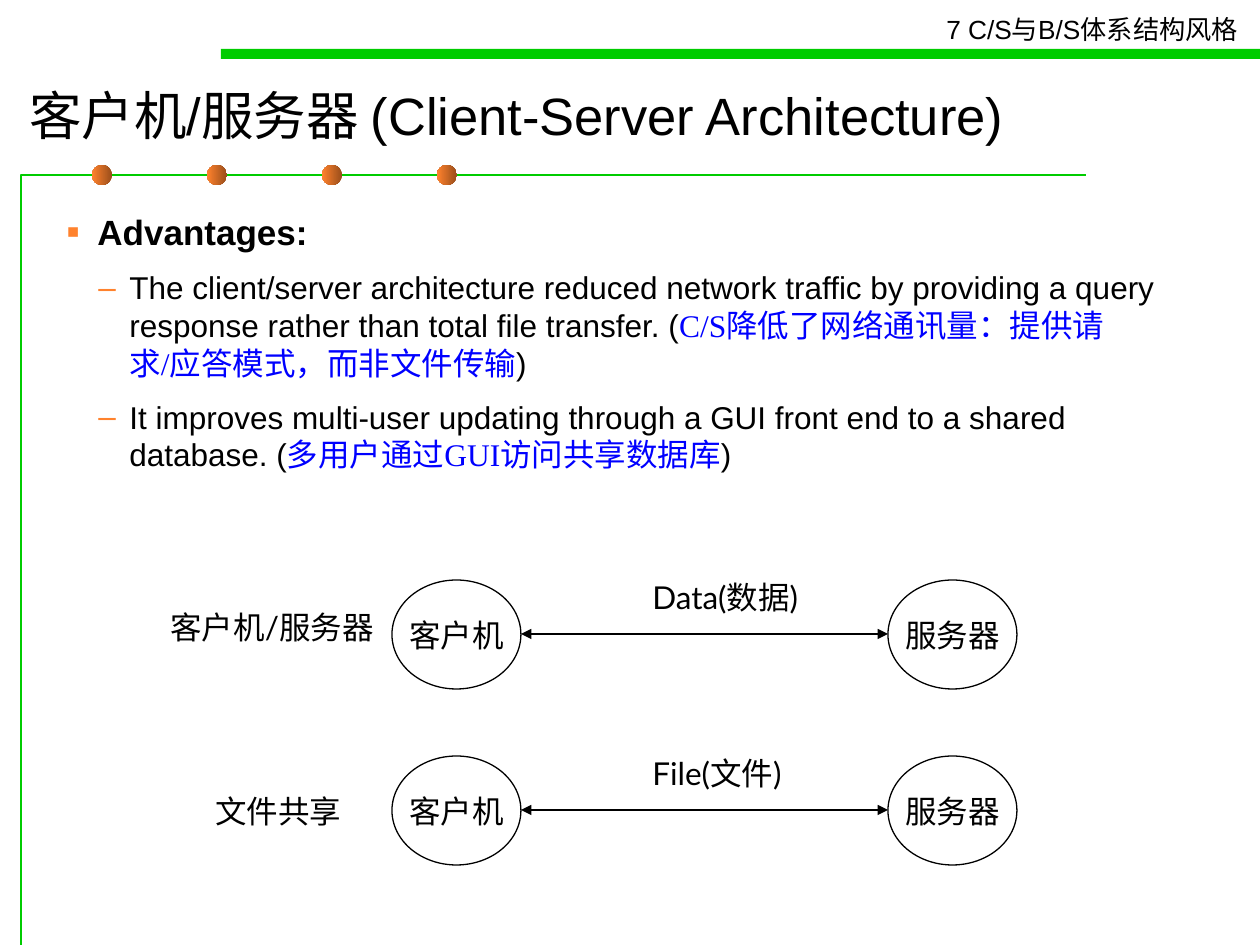
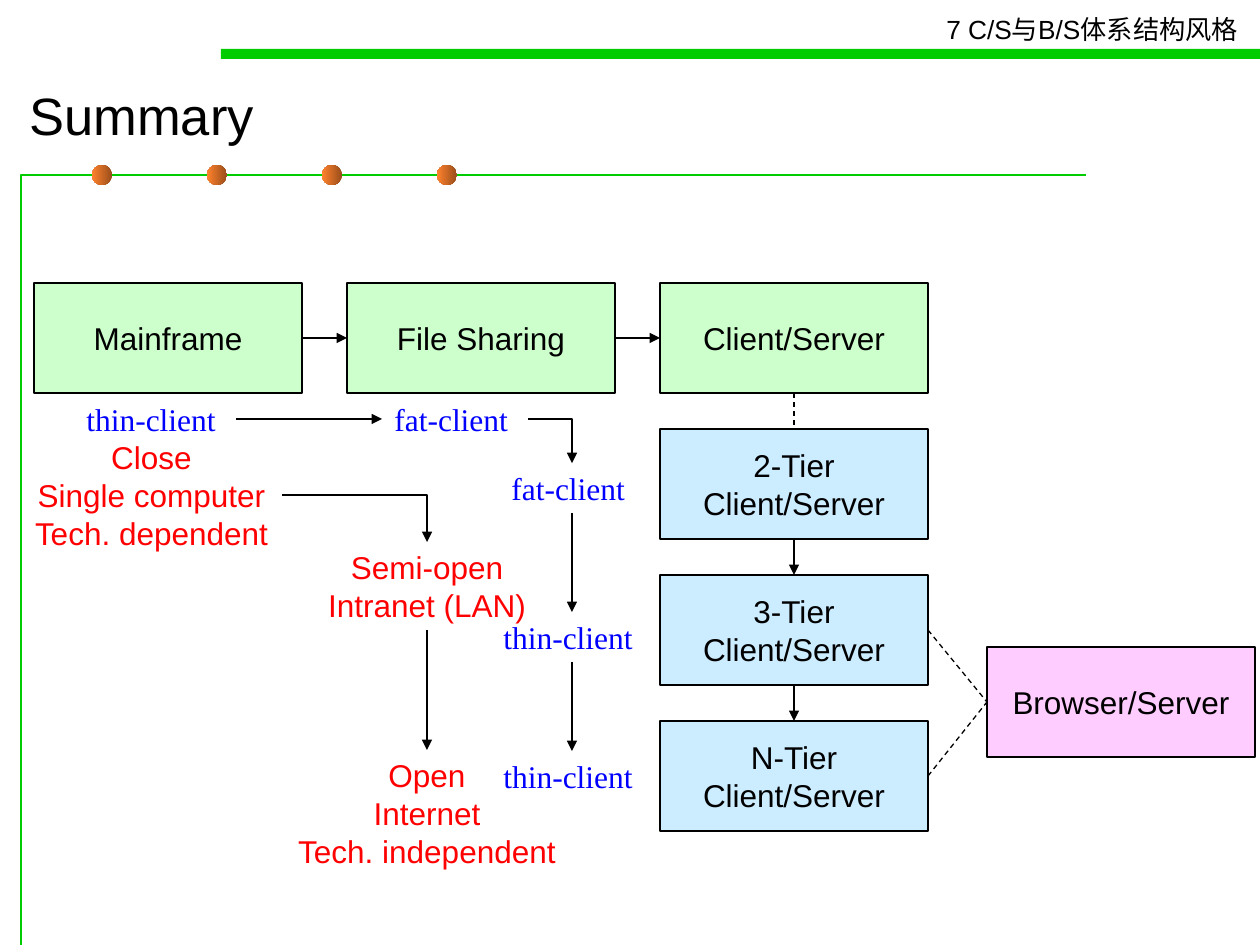
from typing import NamedTuple, Optional

from lxml.etree import SubElement
from pptx import Presentation
from pptx.dml.color import RGBColor
from pptx.enum.dml import MSO_LINE
from pptx.enum.shapes import MSO_CONNECTOR, MSO_SHAPE
from pptx.enum.text import MSO_ANCHOR, PP_ALIGN
from pptx.oxml.ns import qn
from pptx.util import Emu, Pt

EMU_PER_PX = 914400 / 126
COLORS = {
    "black": "000000", "white": "FFFFFF", "green": "00CC00",
    "orange": "FF822D", "brown": "9A4E1B", "blue": "0000FF", "red": "FF0000",
    "mint": "CCFFCC", "sky": "CCECFF", "pink": "FFCCFF",
}
FORMATS = {
    "header": {"name": "Arial", "size": Pt(15), "color": "black"},
    "title": {"name": "Arial", "size": Pt(30), "color": "black"},
    "heading": {"name": "Arial", "size": Pt(20), "color": "black", "bold": True},
    "body": {"name": "Arial", "size": Pt(18), "color": "black"},
    "diagram": {"name": "Lato", "size": Pt(18), "color": "black"},
    "client": {"name": "Times New Roman", "size": Pt(18), "color": "blue"},
    "openness": {"name": "Arial", "size": Pt(18), "color": "red"},
}
TOP, LEFT, BOTTOM, RIGHT = range(4)


class Label(NamedTuple):
    text: str
    x: int
    y: int
    w: int
    h: int = 50
    fmt: str = "body"
    align: PP_ALIGN = PP_ALIGN.LEFT
    anchor: MSO_ANCHOR = MSO_ANCHOR.TOP


class Node(NamedTuple):
    text: str
    x: int
    y: int
    w: int
    h: int
    fill: str
    fmt: str = "body"
    kind: MSO_SHAPE = MSO_SHAPE.RECTANGLE


class Link(NamedTuple):
    start: str
    start_side: int
    end: str
    end_side: int
    elbow: bool = False
    dashed: bool = False


class Bullet(NamedTuple):
    runs: tuple  # (text, format name) pairs
    char: str
    indent: int
    before: float
    after: float
    size_pct: Optional[int] = None


def px(n: float) -> Emu:
    return Emu(round(n * EMU_PER_PX))


def rgb(name: str) -> RGBColor:
    return RGBColor.from_string(COLORS[name])


def apply_format(font, fmt: str) -> None:
    for key, value in FORMATS[fmt].items():
        if key == "color":
            font.color.rgb = rgb(value)
        else:
            setattr(font, key, value)


def write_lines(tf, text: str, fmt: str, align: PP_ALIGN) -> None:
    for i, line in enumerate(text.split("\n")):
        p = tf.paragraphs[0] if i == 0 else tf.add_paragraph()
        p.alignment = align
        r = p.add_run()
        r.text = line
        apply_format(r.font, fmt)


def add_label(slide, label: Label):
    sp = slide.shapes.add_textbox(*map(px, label[1:5]))
    tf = sp.text_frame
    tf.word_wrap = True
    tf.vertical_anchor = label.anchor
    write_lines(tf, label.text, label.fmt, label.align)
    return sp


def add_plain_shape(slide, kind: MSO_SHAPE, x: int, y: int, w: int, h: int):
    sp = slide.shapes.add_shape(kind, px(x), px(y), px(w), px(h))
    sp.shadow.inherit = False
    sp.line.fill.background()
    return sp


def outline(line, color: str) -> None:
    line.color.rgb = rgb(color)
    line.width = Pt(0.75)


def add_node(slide, node: Node):
    sp = add_plain_shape(slide, node.kind, *node[1:5])
    sp.fill.solid()
    sp.fill.fore_color.rgb = rgb(node.fill)
    outline(sp.line, "black")
    tf = sp.text_frame
    tf.word_wrap = False
    tf.vertical_anchor = MSO_ANCHOR.MIDDLE
    write_lines(tf, node.text, node.fmt, PP_ALIGN.CENTER)
    return sp


def add_line(slide, kind: MSO_CONNECTOR, ends=(0, 0, 0, 0), arrows=()):
    """Draw a thin black connector; arrows names its headEnd and/or tailEnd."""
    cxn = slide.shapes.add_connector(kind, *map(px, ends))
    outline(cxn.line, "black")
    ln = cxn.element.spPr.find(qn("a:ln"))
    for end in arrows:
        SubElement(ln, qn(f"a:{end}"), type="triangle")
    SubElement(cxn.element.spPr, qn("a:effectLst"))
    return cxn


def add_link(slide, link: Link, shapes: dict) -> None:
    kind = MSO_CONNECTOR.ELBOW if link.elbow else MSO_CONNECTOR.STRAIGHT
    arrows = () if link.dashed else ("tailEnd",)
    cxn = add_line(slide, kind, arrows=arrows)
    cxn.begin_connect(shapes[link.start], link.start_side)
    cxn.end_connect(shapes[link.end], link.end_side)
    if link.elbow:
        cxn.element.spPr.find(qn("a:prstGeom")).set("prst", "bentConnector2")
    if link.dashed:
        cxn.line.dash_style = MSO_LINE.DASH


def add_bullets(slide, bullets: list) -> None:
    tf = slide.shapes.add_textbox(px(54), px(204), px(1132), px(704)).text_frame
    tf.word_wrap = True
    for i, bullet in enumerate(bullets):
        p = tf.paragraphs[0] if i == 0 else tf.add_paragraph()
        p.space_before, p.space_after = Pt(bullet.before), Pt(bullet.after)
        pPr = p._p.get_or_add_pPr()
        pPr.set("marL", str(px(bullet.indent)))
        pPr.set("indent", str(px(-31)))
        color = SubElement(pPr, qn("a:buClr"))
        SubElement(color, qn("a:srgbClr"), val=COLORS["orange"])
        if bullet.size_pct:
            SubElement(pPr, qn("a:buSzPct"), val=str(bullet.size_pct * 1000))
        SubElement(pPr, qn("a:buFont"), typeface="Arial")
        SubElement(pPr, qn("a:buChar"), char=bullet.char)
        for text, fmt in bullet.runs:
            r = p.add_run()
            r.text = text
            apply_format(r.font, fmt)


def new_slide(prs, title: str):
    """Add a blank slide with the shared frame, dots, band, header and title."""
    slide = prs.slides.add_slide(prs.slide_layouts[6])
    fb = slide.shapes.build_freeform(21, 945, scale=EMU_PER_PX)
    fb.add_line_segments([(21, 175), (1086, 175)], close=False)
    frame = fb.convert_to_shape()
    frame.shadow.inherit = False
    frame.fill.background()
    outline(frame.line, "green")
    for i in range(4):
        dot = add_plain_shape(slide, MSO_SHAPE.OVAL, 92 + 115 * i, 165, 20, 20)
        dot.fill.gradient()
        dot.fill.gradient_angle = 180
        for stop, color in zip(dot.fill.gradient_stops, ("brown", "orange")):
            stop.color.rgb = rgb(color)
    band = add_plain_shape(slide, MSO_SHAPE.RECTANGLE, 221, 49, 1039, 10)
    band.fill.solid()
    band.fill.fore_color.rgb = rgb("green")
    add_label(slide, Label("7 C/S与B/S体系结构风格", 934, 7, 340, 44, "header"))
    add_label(slide, Label(title, 17, 70, 1170, 89, "title",
                           anchor=MSO_ANCHOR.MIDDLE))
    return slide


def build_advantages(prs) -> None:
    slide = new_slide(prs, "客户机/服务器 (Client-Server Architecture)")
    add_bullets(slide, [
        Bullet((("Advantages:", "heading"),), "▪", 31, 0, 3.7, 110),
        Bullet((("The client/server architecture reduced network traffic by "
                 "providing a query response rather than total file transfer. (",
                 "body"),
                ("C/S降低了网络通讯量：提供请求/应答模式，而非文件传输", "client"),
                (")", "body")), "–", 63, 5.6, 3.4),
        Bullet((("It improves multi-user updating through a GUI front end to a "
                 "shared database. (", "body"),
                ("多用户通过GUI访问共享数据库", "client"),
                (")", "body")), "–", 63, 5.6, 3.4),
    ])
    rows = [
        (580, "Data(数据)", Label("客户机/服务器", 158, 602, 240, fmt="diagram")),
        (756, "File(文件)", Label("文件共享", 203, 786, 160, fmt="diagram")),
    ]
    for y, payload, caption in rows:
        for text, x in (("客户机", 392), ("服务器", 888)):
            add_node(slide, Node(text, x, y, 129, 109, "white", "diagram",
                                 MSO_SHAPE.OVAL))
        add_line(slide, MSO_CONNECTOR.STRAIGHT, (521, y + 54, 888, y + 54),
                 ("headEnd", "tailEnd"))
        add_label(slide, Label(payload, 640, y - 8, 192, fmt="diagram"))
        add_label(slide, caption)


def build_summary(prs) -> None:
    slide = new_slide(prs, "Summary")
    w, h, x0, y0, dx, dy = 268, 110, 34, 283, 313, 146
    nodes = {}
    for i, name in enumerate(("Mainframe", "File Sharing", "Client/Server")):
        nodes[name] = Node(name, x0 + dx * i, y0, w, h, "mint")
    for i, tier in enumerate(("2-Tier", "3-Tier", "N-Tier"), start=1):
        nodes[tier] = Node(f"{tier}\nClient/Server", x0 + dx * 2, y0 + dy * i,
                           w, h, "sky")
    nodes["Browser"] = Node("Browser/Server", 987, 647, w, h, "pink")

    center = PP_ALIGN.CENTER
    labels = {
        "thin mainframe": Label("thin-client", 74, 394, 162, fmt="client"),
        "fat sharing": Label("fat-client", 382, 394, 146, fmt="client"),
        "fat 2-tier": Label("fat-client", 499, 463, 146, fmt="client"),
        "thin 3-tier": Label("thin-client", 491, 612, 162, fmt="client"),
        "thin N-tier": Label("thin-client", 491, 751, 162, fmt="client"),
        "close": Label("Close\nSingle computer\nTech. dependent",
                       21, 432, 261, 126, "openness", center),
        "semi-open": Label("Semi-open\nIntranet (LAN)",
                           307, 542, 240, 88, "openness", center),
        "open": Label("Open\nInternet\nTech. independent",
                      277, 750, 300, 126, "openness", center),
    }
    shapes = {name: add_node(slide, node) for name, node in nodes.items()}
    shapes.update({name: add_label(slide, lb) for name, lb in labels.items()})
    links = [
        Link("Mainframe", RIGHT, "File Sharing", LEFT),
        Link("File Sharing", RIGHT, "Client/Server", LEFT),
        Link("Client/Server", BOTTOM, "2-Tier", TOP, dashed=True),
        Link("2-Tier", BOTTOM, "3-Tier", TOP),
        Link("3-Tier", BOTTOM, "N-Tier", TOP),
        Link("3-Tier", RIGHT, "Browser", LEFT, dashed=True),
        Link("N-Tier", RIGHT, "Browser", LEFT, dashed=True),
        Link("thin mainframe", RIGHT, "fat sharing", LEFT),
        Link("fat sharing", RIGHT, "fat 2-tier", TOP, elbow=True),
        Link("fat 2-tier", BOTTOM, "thin 3-tier", TOP),
        Link("thin 3-tier", BOTTOM, "thin N-tier", TOP),
        Link("close", RIGHT, "semi-open", TOP, elbow=True),
        Link("semi-open", BOTTOM, "open", TOP),
    ]
    for link in links:
        add_link(slide, link, shapes)


def main() -> None:
    prs = Presentation()
    prs.slide_width, prs.slide_height = px(1260), px(945)
    build_advantages(prs)
    build_summary(prs)
    prs.save("out.pptx")


if __name__ == "__main__":
    main()
